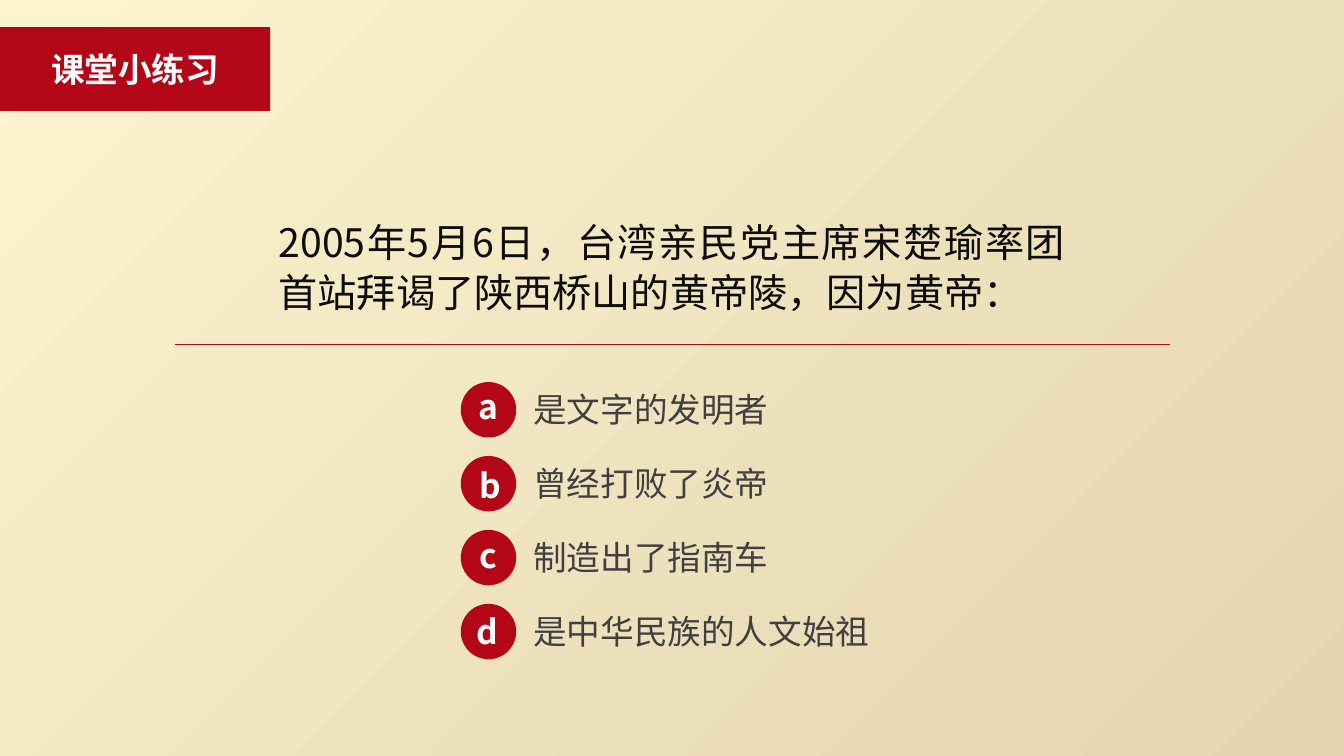
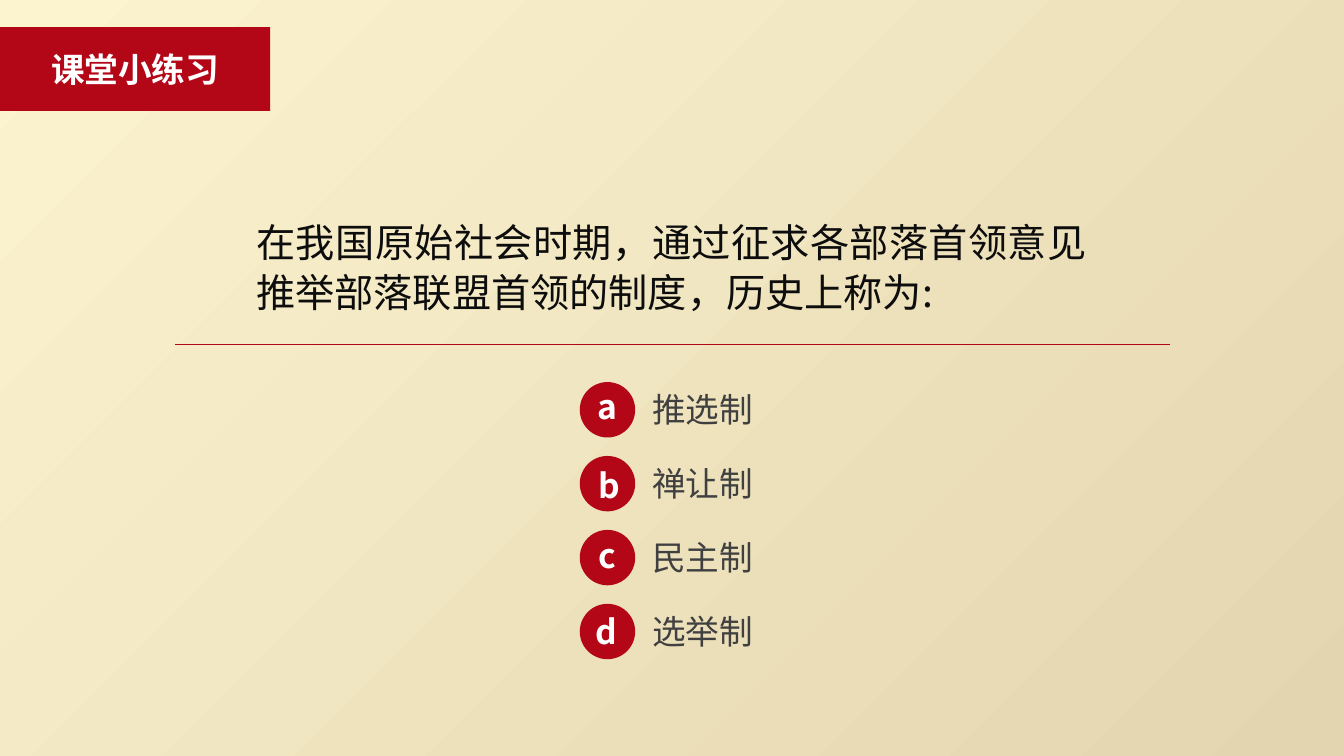
from dataclasses import dataclass

from lxml.etree import SubElement
from pptx import Presentation
from pptx.dml.color import RGBColor
from pptx.enum.lang import MSO_LANGUAGE_ID
from pptx.enum.shapes import MSO_CONNECTOR, MSO_SHAPE
from pptx.enum.text import MSO_ANCHOR, MSO_AUTO_SIZE, PP_ALIGN
from pptx.oxml.ns import qn
from pptx.util import Inches, Pt


@dataclass(frozen=True)
class Theme:
    """Colours, font and type sizes shared by the slides."""
    red: RGBColor = RGBColor(0xB3, 0x07, 0x17)
    white: RGBColor = RGBColor(0xFF, 0xFF, 0xFF)
    ink: RGBColor = RGBColor(0x0D, 0x0D, 0x0D)
    gray: RGBColor = RGBColor(0x40, 0x40, 0x40)
    cream: RGBColor = RGBColor(0xFC, 0xF4, 0xCF)
    sand: RGBColor = RGBColor(0xE3, 0xD5, 0xB0)
    face: str = "Noto Sans CJK SC"
    large: int = 28
    base: int = 24


THEME = Theme()
WIDE, HIGH = 13.33, 7.5
BAND = (0, 0.27, 2.68, 0.83)
TITLE = "课堂小练习"
RULE = (1.74, 3.42, 9.86)
TOP, STEP, DISC = 3.79, 2.2 / 3, 0.55
MARKS = (("a", 0, -0.03), ("b", 0.02, 0.02), ("c", 0, -0.02), ("d", -0.01, 0))
QUIZ = (
    dict(text="2005年5月6日，台湾亲民党主席宋楚瑜率团首站拜谒了陕西桥山的黄帝陵，因为黄帝：",
         width=8, left=4.57,
         picks=("是文字的发明者", "曾经打败了炎帝", "制造出了指南车", "是中华民族的人文始祖")),
    dict(text="在我国原始社会时期，通过征求各部落首领意见推举部落联盟首领的制度，历史上称为:",
         width=8.44, left=5.75,
         picks=("推选制", "禅让制", "民主制", "选举制")),
)


def apply(item, **form):
    """Set each named format value on an item."""
    for name, value in form.items():
        setattr(item, name, value)


def inch(*sides):
    """Turn numbers into lengths."""
    return [Inches(side) for side in sides]


def write(shape, text, size, tint, bold=False, wrap=False, **form):
    """Fill a shape with one formatted paragraph."""
    frame = shape.text_frame
    apply(frame, word_wrap=wrap, auto_size=MSO_AUTO_SIZE.NONE)
    para = frame.paragraphs[0]
    apply(para, **form)
    run = para.add_run()
    run.text = text
    apply(run.font, name=THEME.face, size=Pt(size), bold=bold,
          language_id=MSO_LANGUAGE_ID.SIMPLIFIED_CHINESE)
    run.font.color.rgb = tint
    SubElement(run.font._element, qn("a:ea"), typeface=THEME.face)


def backdrop(deck):
    """Give the master its diagonal gradient."""
    fill = deck.slide_master.background.fill
    fill.gradient()
    fill.gradient_angle = 315
    for stop, tint in zip(fill.gradient_stops, (THEME.cream, THEME.sand)):
        stop.color.rgb = tint


def header(slide, box):
    """Turn the title into a red band."""
    title = slide.shapes.title
    apply(title, **dict(zip(("left", "top", "width", "height"), inch(*box))))
    title.fill.solid()
    title.fill.fore_color.rgb = THEME.red
    title.text_frame.vertical_anchor = MSO_ANCHOR.MIDDLE
    write(title, TITLE, THEME.base, THEME.white, bold=True, alignment=PP_ALIGN.CENTER)


def question(slide, text, box):
    """Place the question text in its box."""
    write(slide.shapes.add_textbox(*inch(*box)), text, THEME.large, THEME.ink,
          wrap=True, alignment=PP_ALIGN.JUSTIFY, line_spacing=Pt(36))


def rule(slide, left, top, width):
    """Draw the thin line below the question."""
    line = slide.shapes.add_connector(
        MSO_CONNECTOR.STRAIGHT, *inch(left, top, left + width, top))
    line.line.color.rgb = THEME.red
    line.line.width = Pt(0.5)
    SubElement(line._element.spPr, qn("a:effectLst"))


def choice(slide, mark, text, left, top):
    """Group a lettered disc with its answer."""
    letter, right, down = mark
    parts = slide.shapes.add_group_shape().shapes
    disc = parts.add_shape(MSO_SHAPE.OVAL, *inch(left, top, DISC, DISC))
    disc.shadow.inherit = False
    disc.fill.solid()
    disc.fill.fore_color.rgb = THEME.red
    disc.line.fill.background()
    label = parts.add_textbox(
        *inch(left + 0.07 + right, top + 0.02 + down, 0.41, 0.5))
    write(label, letter, THEME.base, THEME.white, bold=True, alignment=PP_ALIGN.CENTER)
    width = len(text) * THEME.base / 72 + 0.22
    answer = parts.add_textbox(*inch(left + 0.62, top + 0.02, width, 0.5))
    write(answer, text, THEME.base, THEME.gray, alignment=PP_ALIGN.LEFT)


def quiz(deck, text, width, left, picks):
    """Build one quiz slide."""
    slide = deck.slides.add_slide(deck.slide_layouts.get_by_name("Title Only"))
    header(slide, BAND)
    question(slide, text, ((WIDE - width) / 2, 2.08, width, 1.11))
    rule(slide, *RULE)
    for row, (mark, pick) in enumerate(zip(MARKS, picks)):
        choice(slide, mark, pick, left, TOP + row * STEP)


def main():
    """Build and save the deck."""
    deck = Presentation()
    apply(deck, slide_width=Inches(WIDE), slide_height=Inches(HIGH))
    backdrop(deck)
    for item in QUIZ:
        quiz(deck, **item)
    deck.save("out.pptx")


if __name__ == "__main__":
    main()
